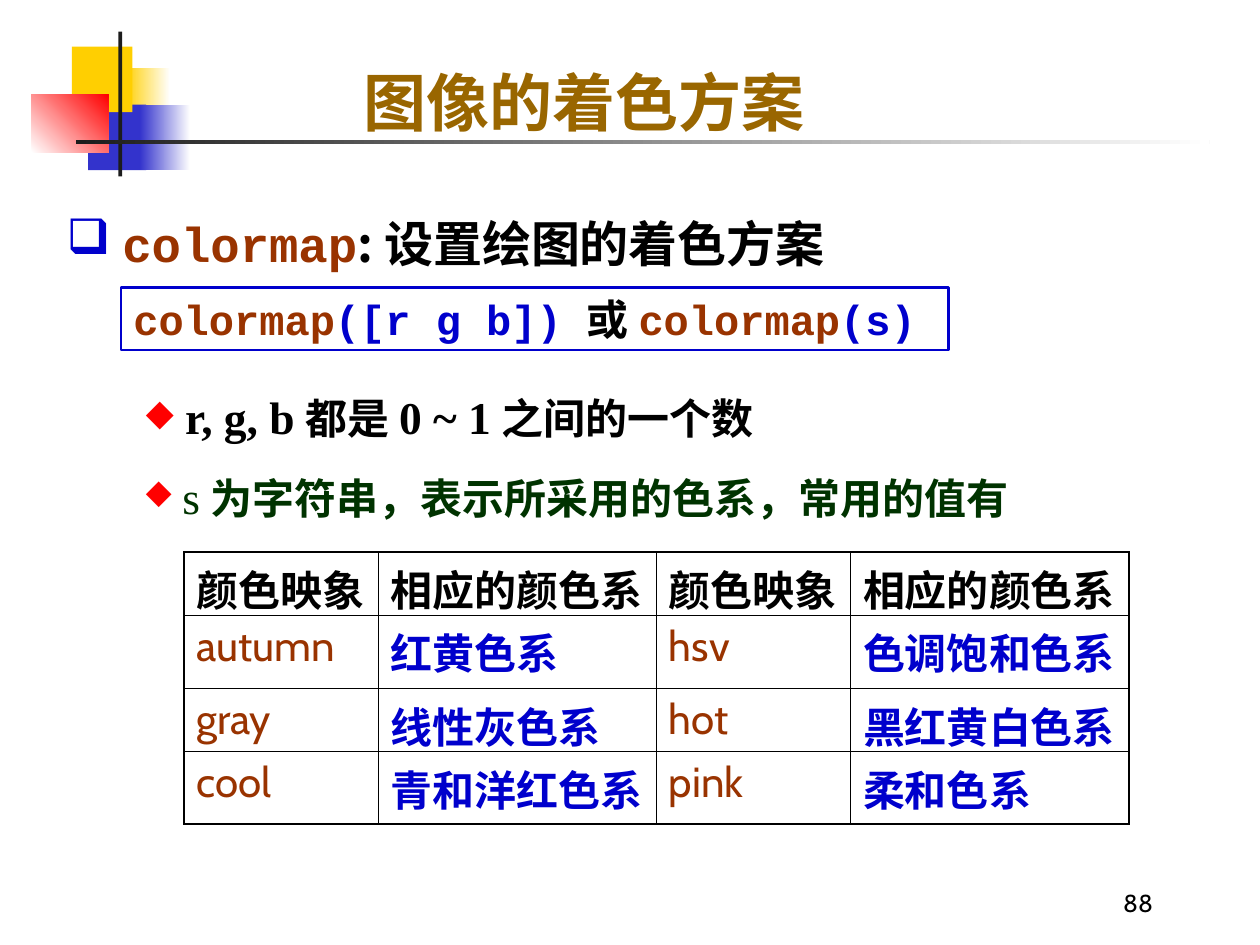
from lxml import etree
from pptx import Presentation
from pptx.dml.color import RGBColor
from pptx.enum.shapes import MSO_SHAPE
from pptx.enum.text import MSO_ANCHOR, PP_ALIGN
from pptx.oxml.ns import qn
from pptx.util import Inches, Pt

RECTANGLE = MSO_SHAPE.RECTANGLE
TOP, MIDDLE, BOTTOM = MSO_ANCHOR.TOP, MSO_ANCHOR.MIDDLE, MSO_ANCHOR.BOTTOM
LEFT, RIGHT = PP_ALIGN.LEFT, PP_ALIGN.RIGHT

BLACK = RGBColor(0x00, 0x00, 0x00)
WHITE = RGBColor(0xFF, 0xFF, 0xFF)
CHARCOAL = RGBColor(0x1C, 0x1C, 0x1C)
YELLOW = RGBColor(0xFF, 0xCF, 0x01)
INDIGO = RGBColor(0x33, 0x33, 0xCC)
RED = RGBColor(0xFF, 0x00, 0x00)
BLUE = RGBColor(0x00, 0x00, 0xCC)
BROWN = RGBColor(0x99, 0x33, 0x00)
GOLD = RGBColor(0x99, 0x66, 0x00)
GREEN = RGBColor(0x00, 0x33, 0x00)

SERIF, MONO = "Times New Roman", "Courier New"
SANS, CHINESE = "Cabin", "Noto Sans CJK SC"


def box_of(left, top, width, height):
    return [Inches(value) for value in (left, top, width, height)]


def add_runs(paragraph, runs):
    """Each run is (text, font name, size, colour, bold)."""
    for text, name, size, color, bold in runs:
        run = paragraph.add_run()
        run.text = text
        font = run.font
        font.name, font.size, font.bold = name, Pt(size), bold
        font.color.rgb = color
        latin = font._element.find(qn("a:latin"))
        east_asian = etree.Element(qn("a:ea"), typeface=CHINESE)
        latin.addnext(east_asian)


def add_bullet(paragraph, character, color, percent):
    properties = paragraph._p.get_or_add_pPr()
    bullet_color = etree.SubElement(properties, qn("a:buClr"))
    etree.SubElement(bullet_color, qn("a:srgbClr"), val=str(color))
    etree.SubElement(properties, qn("a:buSzPct"), val=str(percent * 1000))
    etree.SubElement(properties, qn("a:buChar"), char=character)


def add_text(slide, box, runs, anchor=TOP, align=LEFT):
    text_frame = slide.shapes.add_textbox(*box).text_frame
    text_frame.word_wrap = True
    text_frame.vertical_anchor = anchor
    paragraph = text_frame.paragraphs[0]
    paragraph.alignment = align
    add_runs(paragraph, runs)
    return paragraph


def add_rectangle(slide, box):
    shape = slide.shapes.add_shape(RECTANGLE, *box)
    shape.shadow.inherit = False
    shape.line.fill.background()
    return shape


def add_decoration(slide, left, top):
    # Offsets from the corner, start colour, end colour (None = solid), angle
    blocks = [
        (0.74, 0.29, 0.36, 0.52, YELLOW, WHITE, 0),
        (0.45, 0.58, 0.46, 0.52, INDIGO, None, 0),
        (0.32, 0.12, 0.48, 0.52, YELLOW, None, 0),
        (0.86, 0.58, 0.40, 0.52, INDIGO, WHITE, 0),
        (0, 0.5, 0.61, 0.46, WHITE, RED, 45),
        (0.69, 0, 0.03, 1.15, CHARCOAL, None, 0),
        (0.35, 0.86, 9, 0.03, CHARCOAL, WHITE, 0),
    ]
    for x, y, width, height, start, end, angle in blocks:
        fill = add_rectangle(slide, box_of(left + x, top + y, width, height)).fill
        if end is None:
            fill.solid()
            fill.fore_color.rgb = start
            continue
        fill.gradient()
        fill.gradient_angle = angle
        for stop, color, position in zip(fill.gradient_stops, (start, end), (0, 1)):
            stop.color.rgb = color
            stop.position = position


def add_syntax_box(slide, box):
    shape = add_rectangle(slide, box)
    shape.fill.background()
    shape.line.color.rgb = BLUE
    shape.line.width = Pt(1.5)
    text_frame = shape.text_frame
    text_frame.word_wrap = False
    text_frame.vertical_anchor = MIDDLE
    paragraph = text_frame.paragraphs[0]
    paragraph.alignment = LEFT
    add_runs(paragraph, [
        ("colormap", MONO, 24, BROWN, True),
        ("([r g b]) ", MONO, 24, BLUE, True),
        ("或 ", CHINESE, 24, BLACK, True),
        ("colormap", MONO, 24, BROWN, True),
        ("(s)", MONO, 24, BLUE, True),
    ])


def set_borders(cell, outer_sides):
    properties = cell._tc.get_or_add_tcPr()
    for index, side in enumerate("LRTB"):
        width = Pt(1.08 if side in outer_sides else 0.45)
        line = etree.Element(qn("a:ln" + side), w=str(int(width)))
        fill = etree.SubElement(line, qn("a:solidFill"))
        etree.SubElement(fill, qn("a:srgbClr"), val=str(BLACK))
        properties.insert(index, line)


def add_color_table(slide, box):
    rows = [
        ("颜色映象", "相应的颜色系") * 2,
        ("autumn", "红黄色系", "hsv", "色调饱和色系"),
        ("gray", "线性灰色系", "hot", "黑红黄白色系"),
        ("cool", "青和洋红色系", "pink", "柔和色系"),
    ]
    last_row, last_column = len(rows) - 1, len(rows[0]) - 1
    table = slide.shapes.add_table(len(rows), len(rows[0]), *box).table
    table.first_row = table.horz_banding = False
    for index, column in enumerate(table.columns):
        column.width = Inches((1.54, 2.21)[index % 2])
    for index, row in enumerate(table.rows):
        row.height = Inches((0.5, 0.58)[index % 2])

    for r, texts in enumerate(rows):
        for c, text in enumerate(texts):
            cell = table.cell(r, c)
            cell.fill.background()
            edges = {"L": c == 0, "R": c == last_column, "T": r == 0, "B": r == last_row}
            set_borders(cell, [side for side, outer in edges.items() if outer])
            is_name = r > 0 and c % 2 == 0
            color = BLACK if r == 0 else BROWN if is_name else BLUE
            add_runs(cell.text_frame.paragraphs[0], [(text, SANS, 24, color, not is_name)])


def add_explanations(slide):
    heading = add_text(slide, box_of(0.43, 1.55, 8.75, 0.66), [
        (" ", SERIF, 28, BLACK, True),
        ("colormap", MONO, 28, BROWN, True),
        (": 设置绘图的着色方案", CHINESE, 28, BLACK, True),
    ])
    add_bullet(heading, "❑", BLUE, 100)
    heading.line_spacing = 1.2

    range_note = add_text(slide, box_of(1.06, 3.04, 5.79, 0.54), [
        (" r, g, b", SERIF, 26, BLACK, True),
        (" 都是 ", SERIF, 24, BLACK, True),
        ("0 ~ 1", SERIF, 26, BLACK, True),
        (" 之间的一个数", SERIF, 24, BLACK, True),
    ])
    string_note = add_text(slide, box_of(1.06, 3.67, 8.11, 0.54), [
        (" ", SERIF, 24, GREEN, False),
        ("s", SERIF, 26, GREEN, False),
        (" ", SERIF, 24, GREEN, False),
        ("为字符串，表示所采用的色系，常用的值有", SERIF, 24, GREEN, True),
    ])
    for note in (range_note, string_note):
        add_bullet(note, "◆", RED, 80)


def main():
    presentation = Presentation()
    presentation.slide_width, presentation.slide_height = Inches(10), Inches(7.5)
    slide = presentation.slides.add_slide(presentation.slide_layouts[6])

    add_decoration(slide, 0.25, 0.25)
    # Title
    add_text(slide, box_of(2.79, 0.45, 4.8, 0.7),
             [("图像的着色方案", SERIF, 36, GOLD, True)], BOTTOM)
    add_explanations(slide)
    add_syntax_box(slide, box_of(0.96, 2.28, 6.57, 0.5))
    add_color_table(slide, box_of(1.46, 4.38, 7.5, 2.16))
    # Slide number
    add_text(slide, box_of(7.17, 6.83, 2.08, 0.5),
             [("88", SANS, 14, BLACK, False)], BOTTOM, RIGHT)
    presentation.save("out.pptx")


if __name__ == "__main__":
    main()
